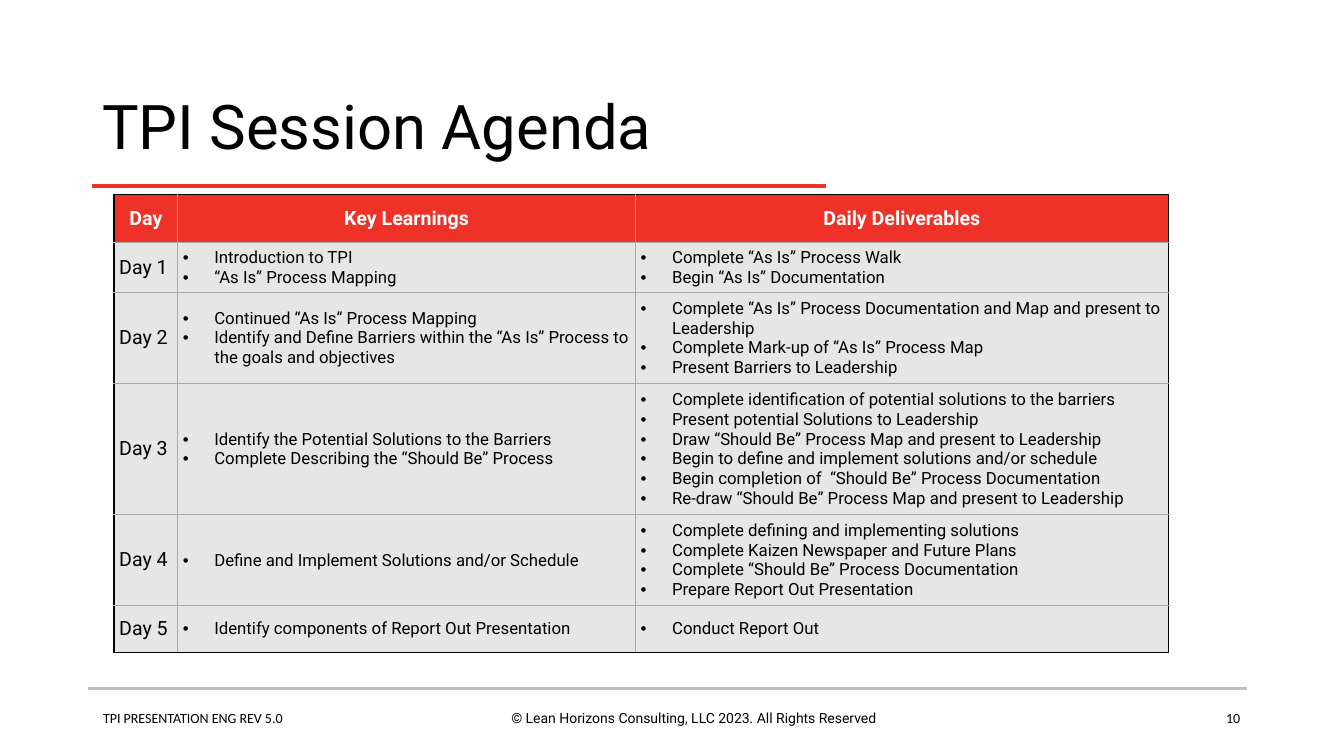
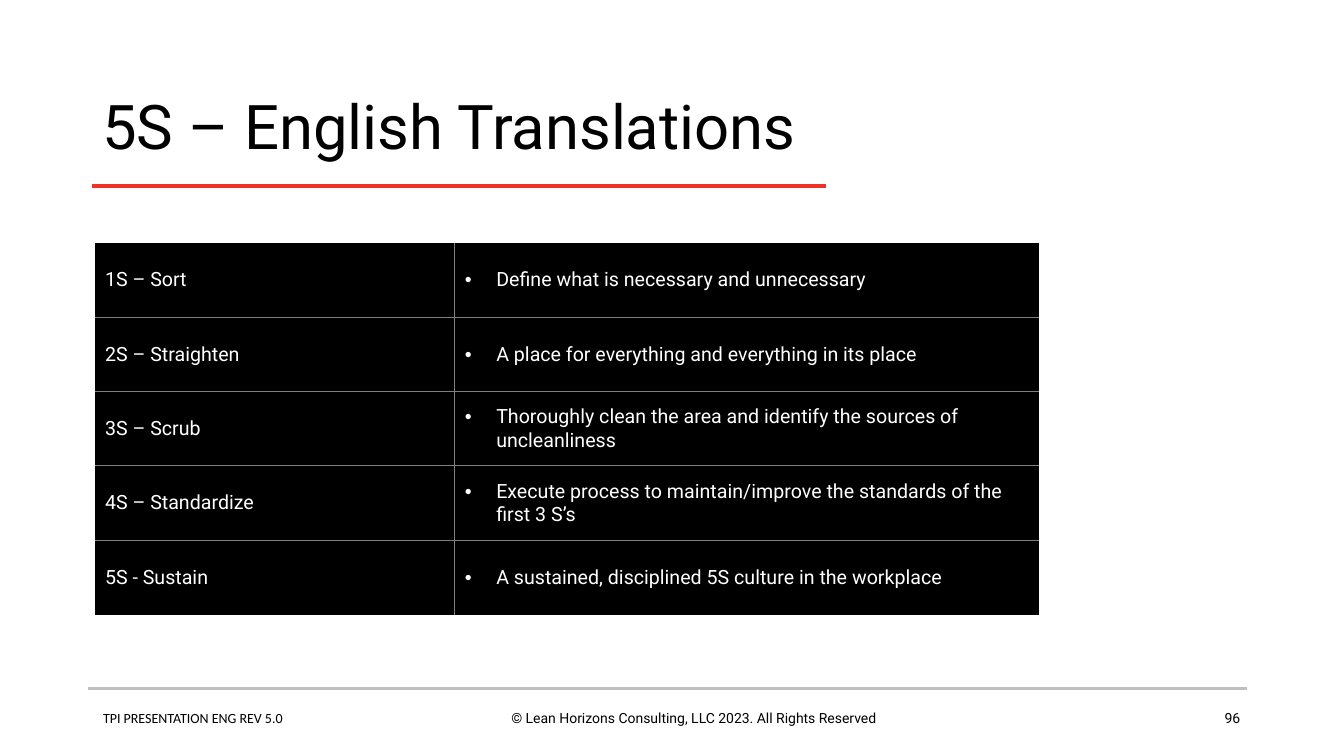
from dataclasses import dataclass

from lxml import etree
from pptx import Presentation
from pptx.dml.color import RGBColor
from pptx.enum import shapes, text
from pptx.oxml import ns
from pptx.util import Pt

BLACK = RGBColor(0x00, 0x00, 0x00)
WHITE = RGBColor(0xFF, 0xFF, 0xFF)
RED = RGBColor(0xEE, 0x32, 0x28)
PALE_GREY = RGBColor(0xE7, 0xE6, 0xE6)
RULE_GREY = RGBColor(0xBF, 0xBF, 0xBF)
AGENDA_GRID = RGBColor(0xA6, 0xA6, 0xA6)
MEANING_GRID = RGBColor(0x7F, 0x7F, 0x7F)
ROBOTO = "Roboto"
CALIBRI = "Calibri"
BULLET_INDENT = 22.5

AGENDA_HEADER = ("Day", "Key Learnings", "Daily Deliverables")
AGENDA = (
    (
        "Day 1",
        ["Introduction to TPI", "“As Is” Process Mapping"],
        ["Complete “As Is” Process Walk", "Begin “As Is” Documentation"],
    ),
    (
        "Day 2",
        [
            "Continued “As Is” Process Mapping",
            "Identify and Define Barriers within the “As Is” Process to the goals and objectives",
        ],
        [
            "Complete “As Is” Process Documentation and Map and present to Leadership",
            "Complete Mark-up of “As Is” Process Map",
            "Present Barriers to Leadership",
        ],
    ),
    (
        "Day 3",
        [
            "Identify the Potential Solutions to the Barriers",
            "Complete Describing the “Should Be” Process",
        ],
        [
            "Complete identification of potential solutions to the barriers",
            "Present potential Solutions to Leadership",
            "Draw “Should Be” Process Map and present to Leadership",
            "Begin to define and implement solutions and/or schedule",
            "Begin completion of  “Should Be” Process Documentation",
            "Re-draw “Should Be” Process Map and present to Leadership",
        ],
    ),
    (
        "Day 4",
        ["Define and Implement Solutions and/or Schedule"],
        [
            "Complete defining and implementing solutions",
            "Complete Kaizen Newspaper and Future Plans",
            "Complete “Should Be” Process Documentation",
            "Prepare Report Out Presentation",
        ],
    ),
    (
        "Day 5",
        ["Identify components of Report Out Presentation"],
        ["Conduct Report Out"],
    ),
)
MEANINGS = (
    ("1S – Sort", "Define what is necessary and unnecessary"),
    ("2S – Straighten", "A place for everything and everything in its place"),
    ("3S – Scrub", "Thoroughly clean the area and identify the sources of uncleanliness"),
    ("4S – Standardize", "Execute process to maintain/improve the standards of the first 3 S’s"),
    ("5S - Sustain", "A sustained, disciplined 5S culture in the workplace"),
)


@dataclass
class Box:
    """A rectangle measured in points."""

    left: float
    top: float
    width: float
    height: float


PAGE = Box(0, 0, 960, 540)


def add_bullet(para):
    """Give a paragraph a round bullet with a hanging indent."""
    props = para._p.get_or_add_pPr()
    props.set("marL", str(Pt(BULLET_INDENT)))
    props.set("indent", str(-Pt(BULLET_INDENT)))
    etree.SubElement(props, ns.qn("a:buFont")).set("typeface", "Arial")
    etree.SubElement(props, ns.qn("a:buChar")).set("char", "•")


def style_runs(para, size, color, font=ROBOTO, bold=False):
    """Format every run of a paragraph."""
    for span in para.runs:
        span.font.size = Pt(size)
        span.font.name = font
        span.font.bold = bold
        span.font.color.rgb = color


def add_label(page, box, wording, size=10, font=ROBOTO, align=text.PP_ALIGN.LEFT,
              anchor=text.MSO_ANCHOR.TOP, spacing=1.0):
    """Place one line of black text in the box."""
    label = page.shapes.add_textbox(Pt(box.left), Pt(box.top), Pt(box.width), Pt(box.height))
    frame = label.text_frame
    frame.word_wrap = True
    frame.vertical_anchor = anchor
    frame.text = wording
    para = frame.paragraphs[0]
    para.alignment = align
    para.line_spacing = spacing
    style_runs(para, size, BLACK, font)


def add_rule(page, left, top, width, color, weight):
    """Draw a horizontal line."""
    rule = page.shapes.add_connector(
        shapes.MSO_CONNECTOR.STRAIGHT, Pt(left), Pt(top), Pt(left + width), Pt(top))
    rule.line.color.rgb = color
    rule.line.width = Pt(weight)
    etree.SubElement(rule._element.spPr, ns.qn("a:effectLst"))


def add_footer(page, box, number, number_font):
    """Place the grey rule, document name, copyright line and page number."""
    add_rule(page, box.left, box.top, box.width, RULE_GREY, 2)
    label_top = box.top + 11
    add_label(page, Box(box.left + 268.5, label_top, 328, 31.5),
              "© Lean Horizons Consulting, LLC 2023. All Rights Reserved",
              align=text.PP_ALIGN.CENTER)
    add_label(page, Box(box.left + 3.5, label_top + 0.5, 328, 31.5),
              "TPI PRESENTATION ENG REV 5.0", font=CALIBRI)
    add_label(page, Box(box.left + box.width - 214, label_top, 216, 26),
              number, font=number_font, align=text.PP_ALIGN.RIGHT)


def add_heading(page, box, wording):
    """Place the slide title above its red rule."""
    add_rule(page, box.left, box.top + box.height + 0.5, 524, RED, 3)
    add_label(page, box, wording, 44, anchor=text.MSO_ANCHOR.MIDDLE, spacing=0.9)


def set_borders(cell, colors):
    """Draw left, right, top and bottom cell borders, None meaning no line."""
    props = cell._tc.get_or_add_tcPr()
    for side, color in zip("LRTB", colors):
        edge = etree.SubElement(props, ns.qn(f"a:ln{side}"), w=str(Pt(1)))
        if color is None:
            etree.SubElement(edge, ns.qn("a:noFill"))
        else:
            fill = etree.SubElement(edge, ns.qn("a:solidFill"))
            etree.SubElement(fill, ns.qn("a:srgbClr"), val=str(color))


def add_grid(page, box, widths, heights, grid_color, outer_color):
    """Add a plain table with inner grid lines and an outer frame."""
    table = page.shapes.add_table(
        len(heights), len(widths), Pt(box.left), Pt(box.top), Pt(box.width), Pt(box.height)).table
    table.first_row = table.horz_banding = False
    for column, width in zip(table.columns, widths):
        column.width = Pt(width)
    for row, height in zip(table.rows, heights):
        row.height = Pt(height)
    last_row, last_column = len(heights) - 1, len(widths) - 1
    for r in range(len(heights)):
        for c in range(len(widths)):
            on_edge = (c == 0, c == last_column, r == 0, r == last_row)
            set_borders(table.cell(r, c), [outer_color if edge else grid_color for edge in on_edge])
    return table


def fill_cell(cell, content, fill, color, size=14, bold=False, align=text.PP_ALIGN.LEFT, inset=None):
    """Write a string, or a list as bullets, into a cell."""
    cell.fill.solid()
    cell.fill.fore_color.rgb = fill
    cell.vertical_anchor = text.MSO_ANCHOR.MIDDLE
    if inset is not None:
        cell.margin_left = cell.margin_right = cell.margin_top = cell.margin_bottom = Pt(inset)
    bulleted = isinstance(content, list)
    cell.text_frame.text = "\n".join(content) if bulleted else content
    for para in cell.text_frame.paragraphs:
        para.alignment = align
        if bulleted:
            add_bullet(para)
        style_runs(para, size, color, bold=bold)


def add_agenda(page, box):
    """Place the table of days, learnings and deliverables."""
    day_width, learning_width = 45.5, 327
    widths = (day_width, learning_width, box.width - day_width - learning_width)
    heights = (34, 36, 65, 93.5, 65, 33.5)
    table = add_grid(page, box, widths, heights, AGENDA_GRID, BLACK)
    for c, heading in enumerate(AGENDA_HEADER):
        fill_cell(table.cell(0, c), heading, RED, WHITE, bold=True, align=text.PP_ALIGN.CENTER)
    for r, entry in enumerate(AGENDA, 1):
        for c, content in enumerate(entry):
            fill_cell(table.cell(r, c), content, PALE_GREY, BLACK, 12 if c else 14, inset=3.6)


def add_meanings(page, box):
    """Place the table of the five terms and their meanings."""
    term_width = 257
    heights = [box.height / len(MEANINGS)] * len(MEANINGS)
    table = add_grid(page, box, (term_width, box.width - term_width), heights, MEANING_GRID, None)
    for r, (term, meaning) in enumerate(MEANINGS):
        fill_cell(table.cell(r, 0), term, BLACK, WHITE)
        fill_cell(table.cell(r, 1), [meaning], BLACK, WHITE)


def add_page(deck, title, number, number_font, add_body, body_box):
    """Add a slide with the shared footer and heading around its body."""
    page = deck.slides.add_slide(deck.slide_layouts[6])
    add_footer(page, Box(63, 492, 828, 48), number, number_font)
    add_body(page, body_box)
    add_heading(page, Box(66, 53, 828, 79.5), title)


def main():
    """Build and save the deck."""
    deck = Presentation()
    deck.slide_width, deck.slide_height = Pt(PAGE.width), Pt(PAGE.height)
    add_page(deck, "TPI Session Agenda", "10", CALIBRI, add_agenda, Box(81.5, 139, 753, 327))
    add_page(deck, "5S – English Translations", "96", ROBOTO, add_meanings,
             Box(67.8, 173.5, 674.5, 265.5))
    deck.save("out.pptx")


if __name__ == "__main__":
    main()
